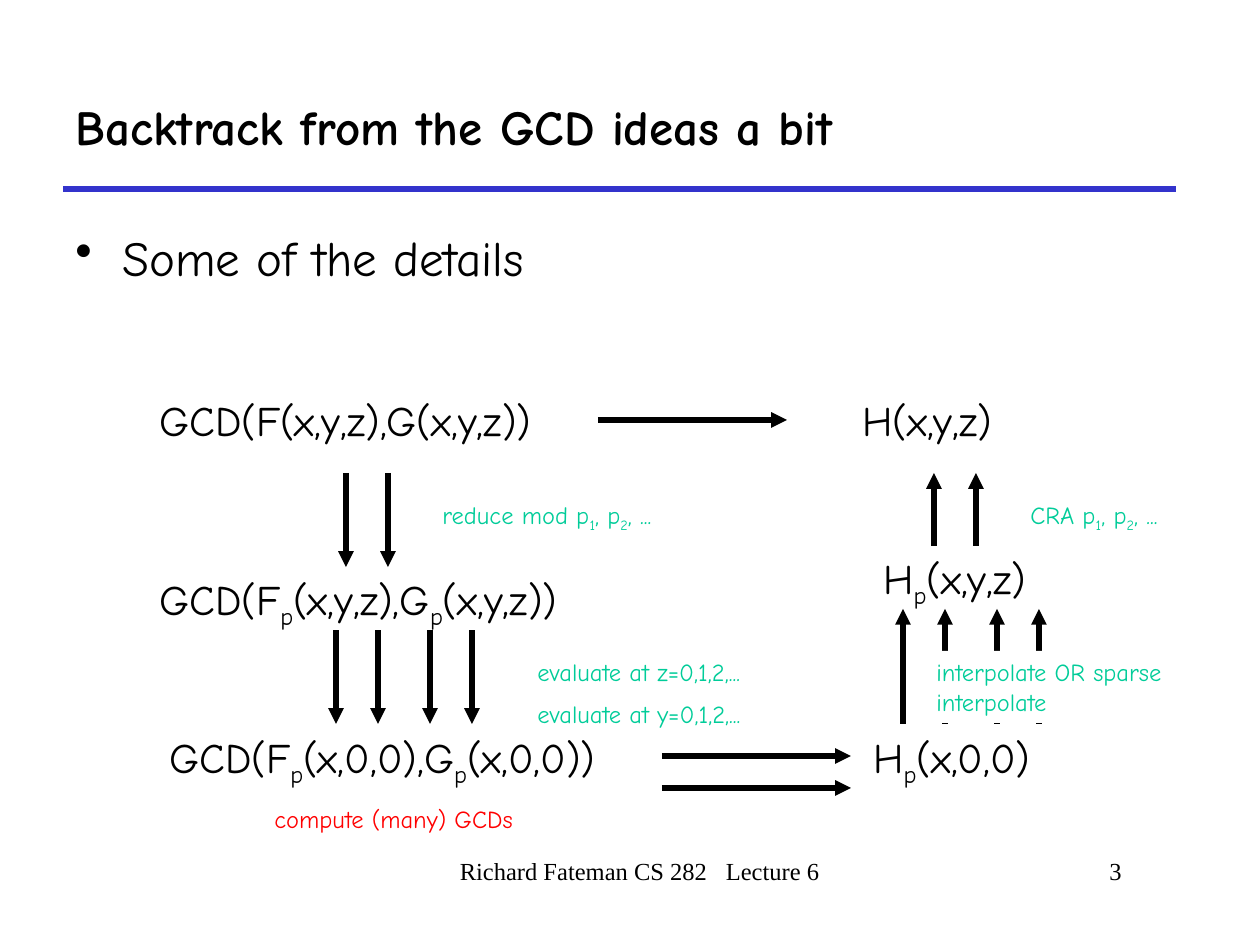
from dataclasses import dataclass

import pptx
import pptx.dml.color
import pptx.enum.shapes
import pptx.enum.text
import pptx.oxml
import pptx.oxml.ns
import pptx.util
from lxml import etree

SCALE = 914400 / 126  # EMU per px
INK = {"black": "000000", "blue": "3333CC", "green": "00CC99",
       "red": "FF0000", "white": "FFFFFF"}
COMIC, TIMES = "Comic Neue", "Times New Roman"
ALIGN = pptx.enum.text.PP_ALIGN
MIDDLE = pptx.enum.text.MSO_ANCHOR.MIDDLE
TOP = pptx.enum.text.MSO_ANCHOR.TOP


@dataclass
class Label:
    """Text in a box; an underscore lowers the one character after it."""
    text: str
    left: int
    top: int
    width: int
    height: int
    size: int = 24
    ink: str = "black"
    font: str = COMIC
    bold: bool = False
    before: float = 0
    indent: int = 0
    align: ALIGN = ALIGN.LEFT
    anchor: pptx.enum.text.MSO_ANCHOR = TOP
    grow: bool = False
    solid: bool = False


@dataclass
class Arrows:
    """Equal arrows that start at each point and run by (dx, dy)."""
    starts: list[tuple[int, int]]
    dx: int
    dy: int
    group: bool = False


def emu(px: int) -> int:
    return round(px * SCALE)


def color(name: str) -> pptx.dml.color.RGBColor:
    return pptx.dml.color.RGBColor.from_string(INK[name])


def add_run(para, text: str, **attrs: str) -> None:
    if text:
        run = para.add_run()
        run.text = text
        for key, value in attrs.items():
            run.font._element.set(key, value)


def draw_label(slide, item: Label):
    box = [emu(v) for v in (item.left, item.top, item.width, item.height)]
    if item.solid:
        shape = slide.shapes.add_shape(
            pptx.enum.shapes.MSO_SHAPE.RECTANGLE, *box)
        shape.shadow.inherit = False
        shape.fill.solid()
        shape.fill.fore_color.rgb = color("white")
        shape.line.fill.background()
    else:
        shape = slide.shapes.add_textbox(*box)
    frame = shape.text_frame
    frame.word_wrap = True
    frame.vertical_anchor = item.anchor
    if item.grow:
        frame.auto_size = pptx.enum.text.MSO_AUTO_SIZE.SHAPE_TO_FIT_TEXT
    para = frame.paragraphs[0]
    para.alignment = item.align
    para.space_before = pptx.util.Pt(item.before)
    para.font.size = pptx.util.Pt(item.size)
    para.font.name = item.font
    para.font.bold = item.bold
    para.font.color.rgb = color(item.ink)
    if item.indent:
        para._p.get_or_add_pPr().set("marL", str(emu(item.indent)))
    first, *rest = item.text.split("_")
    add_run(para, first)
    for part in rest:
        add_run(para, part[0], baseline="-25000")
        add_run(para, part[1:])
    return para


def draw_line(shapes, x: int, y: int, dx: int, dy: int,
              ink: str = "black", head: bool = True) -> None:
    line = shapes.add_connector(
        pptx.enum.shapes.MSO_CONNECTOR.STRAIGHT,
        emu(x), emu(y), emu(x + dx), emu(y + dy))
    line.line.color.rgb = color(ink)
    line.line.width = pptx.util.Pt(3)
    if head:
        tip = etree.SubElement(line.line._get_or_add_ln(),
                               pptx.oxml.ns.qn("a:tailEnd"))
        tip.set("type", "triangle")
    etree.SubElement(line._element.spPr, pptx.oxml.ns.qn("a:effectLst"))


def draw_arrows(slide, item: Arrows) -> None:
    shapes = slide.shapes
    if item.group:
        shapes = shapes.add_group_shape().shapes
    for x, y in item.starts:
        draw_line(shapes, x, y, item.dx, item.dy)


def term(text: str, left: int, top: int, width: int, height: int) -> Label:
    return Label(text, left, top, width, height, before=15, grow=True)


def note(text: str, left: int, top: int, width: int, height: int,
         ink: str = "green", solid: bool = False) -> Label:
    return Label(text, left, top, width, height, size=14, ink=ink,
                 before=8.8, grow=True, solid=solid)


TITLE = Label("Backtrack from the GCD ideas a bit", 63, 63, 1113, 126,
              size=28, bold=True, anchor=MIDDLE)
BODY = Label("Some of the details", 63, 221, 1144, 609,
             size=28, before=7, indent=47)
TERMS = [
    term("GCD(F(x,y,z),G(x,y,z))", 147, 388, 504, 63),
    term("GCD(F_p(x,0,0),G_p(x,0,0))", 157, 725, 578, 70),
    term("GCD(F_p(x,y,z),G_p(x,y,z))", 147, 567, 588, 70),
    term("H(x,y,z)", 850, 388, 242, 63),
    term("H_p(x,y,z)", 871, 546, 242, 70),
    term("H_p(x,0,0)", 861, 725, 242, 70),
]
ARROWS = [
    Arrows([(598, 420)], 189, 0),
    Arrows([(x, 473) for x in (346, 388)], 0, 94),
    Arrows([(x, 630) for x in (336, 378, 430, 472)], 0, 94, group=True),
    Arrows([(662, y) for y in (756, 788)], 189, 0),
    Arrows([(x, 724) for x in (903, 945, 997, 1039)], 0, -115, group=True),
    Arrows([(x, 546) for x in (934, 976)], 0, -73),
]
NOTES = [
    note("reduce mod p_1, p_2, ...", 430, 494, 273, 47),
    note("evaluate at z=0,1,2,...", 525, 651, 315, 43),
    note("evaluate at y=0,1,2,...", 525, 693, 315, 43),
    note("compute (many) GCDs", 262, 798, 315, 43, ink="red"),
    note("interpolate OR sparse interpolate", 924, 651, 315, 72, solid=True),
    note("CRA p_1, p_2, ...", 1018, 494, 200, 47, solid=True),
]
FOOT = Label("Richard Fateman CS 282", 388, 850, 473, 63, size=14,
             font=TIMES, indent=30, align=ALIGN.CENTER)
PAGE = Label("3", 872, 850, 262, 63, size=14, font=TIMES,
             indent=30, align=ALIGN.RIGHT)


def main() -> None:
    deck = pptx.Presentation()
    deck.slide_width, deck.slide_height = emu(1260), emu(945)
    slide = deck.slides.add_slide(deck.slide_layouts[6])

    # Title, rule and bullet
    draw_line(slide.shapes, 63, 189, 1113, 0, ink="blue", head=False)
    draw_label(slide, TITLE)
    props = draw_label(slide, BODY)._p.get_or_add_pPr()
    props.set("indent", str(-emu(BODY.indent)))
    mark = pptx.oxml.parse_xml(
        f'<a:buChar {pptx.oxml.ns.nsdecls("a")} char="•"/>')
    props.find(pptx.oxml.ns.qn("a:defRPr")).addprevious(mark)

    # Diagram
    for item in TERMS:
        draw_label(slide, item)
    for item in ARROWS:
        draw_arrows(slide, item)
    for item in NOTES:
        draw_label(slide, item)

    # Footer, with a widened space before the lecture number
    para = draw_label(slide, FOOT)
    add_run(para, " ", spc="700")
    add_run(para, "Lecture 6")
    draw_label(slide, PAGE)

    deck.save("out.pptx")


if __name__ == "__main__":
    main()
